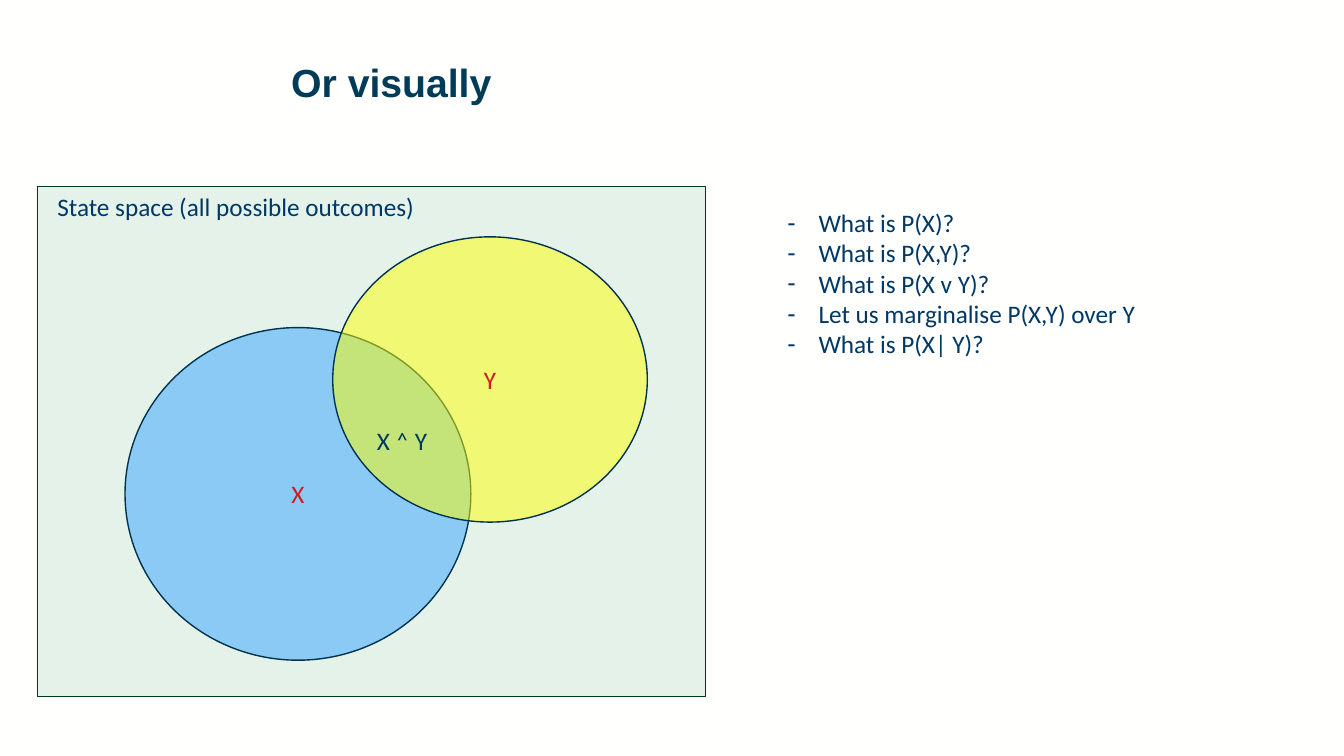
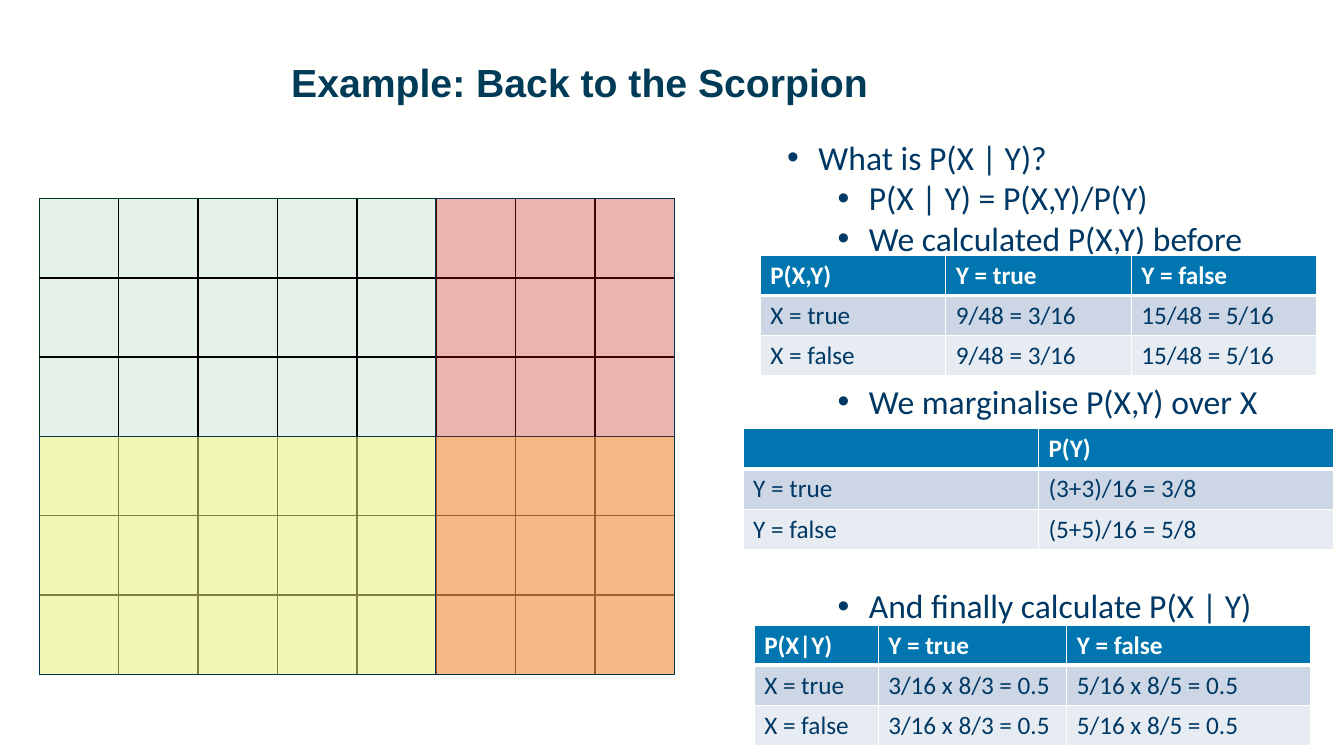
from dataclasses import dataclass

from lxml.etree import SubElement
from pptx import Presentation
from pptx.dml.color import RGBColor as Rgb
from pptx.enum.shapes import MSO_CONNECTOR as Connector, MSO_SHAPE as Preset
from pptx.enum.text import MSO_ANCHOR as Anchor, PP_ALIGN as Align
from pptx.oxml.ns import qn
from pptx.util import Pt

EMU_PER_PX = 9144
GRID_COLS, GRID_ROWS = 8, 6
ROW_HEIGHT = 40


@dataclass(frozen=True)
class Theme:
    paper: str = "FFFFFE"
    title: str = "003B58"
    ink: str = "003865"
    accent: str = "CF1C20"
    space: str = "00833C"
    space_edge: str = "00391A"
    set_edge: str = "00334D"
    set_x: str = "32A4FF"
    set_y: str = "FEFE00"
    lower_half: str = "FFFF7F"
    right_part: str = "FF0000"
    grid: str = "000000"
    header: str = "0075B0"
    bands: tuple = ("CCD6E4", "E7ECF2")
    title_font: str = "Arial"
    body_font: str = "Calibri"
    title_size: int = 28
    outline_size: int = 24
    body_size: int = 18


THEME = Theme()


def px(value):
    return round(value * EMU_PER_PX)


def box(left, top, width, height):
    return px(left), px(top), px(width), px(height)


def write(paragraph, text, color=THEME.ink, size=THEME.body_size, font=THEME.body_font, bold=False):
    run = paragraph.add_run()
    run.text = text
    run.font.name = font
    run.font.size = Pt(size)
    run.font.bold = bold
    run.font.color.rgb = Rgb.from_string(color)


def add_text_frame(slide, area, wrap=True):
    frame = slide.shapes.add_textbox(*box(*area)).text_frame
    frame.word_wrap = wrap
    return frame


def add_label(slide, area, text):
    write(add_text_frame(slide, area, wrap=False).paragraphs[0], text)


def add_titled_slide(deck, title):
    slide = deck.slides.add_slide(deck.slide_layouts[6])
    slide.background.fill.solid()
    slide.background.fill.fore_color.rgb = Rgb.from_string(THEME.paper)
    heading = add_text_frame(slide, (279, 58, 1007, 97)).paragraphs[0]
    heading.line_spacing = 0.9
    write(heading, title, THEME.title, THEME.title_size, THEME.title_font, bold=True)
    return slide


def add_bullets(slide, area, items, mark, size):
    frame = add_text_frame(slide, area)
    for index, (level, gap, text) in enumerate(items):
        paragraph = frame.add_paragraph() if index else frame.paragraphs[0]
        paragraph.level = level
        props = paragraph._p.get_or_add_pPr()
        props.set("marL", str(px(31 + 50 * level)))
        props.set("indent", str(px(-31)))
        SubElement(props, qn("a:buFont"), typeface="Arial")
        SubElement(props, qn("a:buChar"), char=mark)
        if gap:
            paragraph.space_before = Pt(gap)
        write(paragraph, text, size=size)


def add_region(slide, preset, area, fill, opacity, edge, label=None):
    region = slide.shapes.add_shape(preset, *box(*area))
    region.shadow.inherit = False
    region.fill.solid()
    region.fill.fore_color.rgb = Rgb.from_string(fill)
    tint = region.element.spPr.find(qn("a:solidFill")).find(qn("a:srgbClr"))
    SubElement(tint, qn("a:alpha"), val=str(opacity * 1000))
    region.line.color.rgb = Rgb.from_string(edge)
    region.line.width = Pt(1)
    if label:
        region.text_frame.vertical_anchor = Anchor.MIDDLE
        paragraph = region.text_frame.paragraphs[0]
        paragraph.alignment = Align.CENTER
        write(paragraph, label, THEME.accent)
    return region


def add_grid_line(slide, start, end):
    line = slide.shapes.add_connector(Connector.STRAIGHT, *map(px, start + end))
    line.line.color.rgb = Rgb.from_string(THEME.grid)
    line.line.width = Pt(1)
    SubElement(line.element.spPr, qn("a:effectLst"))
    return line


def add_outcome_grid(slide, left, top, width, height):
    right, bottom = left + width, top + height
    outcomes = add_region(slide, Preset.RECTANGLE, (left, top, width, height),
                          THEME.space, 10, THEME.space_edge)
    for row in range(1, GRID_ROWS):
        y = top + height * row / GRID_ROWS
        line = add_grid_line(slide, (left, y), (right, y))
        if row * 2 == GRID_ROWS:
            line.begin_connect(outcomes, 1)
            line.end_connect(outcomes, 3)
    for col in range(1, GRID_COLS):
        x = left + width * col / GRID_COLS
        line = add_grid_line(slide, (x, top), (x, bottom))
        if col * 2 == GRID_COLS:
            line.begin_connect(outcomes, 0)
            line.end_connect(outcomes, 2)
    middle = top + height // 2
    split = left + width * 5 // GRID_COLS
    add_region(slide, Preset.RECTANGLE, (left, middle, width, bottom - middle),
               THEME.lower_half, 50, THEME.set_edge)
    add_region(slide, Preset.RECTANGLE, (split, top, right - split, height),
               THEME.right_part, 25, THEME.set_edge)


def style_cell(cell, fill, bottom_width):
    props = cell._tc.get_or_add_tcPr()
    for side, width in (("lnL", 1), ("lnR", 1), ("lnT", 1), ("lnB", bottom_width)):
        border = SubElement(props, qn(f"a:{side}"), w=str(Pt(width)))
        paint = SubElement(border, qn("a:solidFill"))
        SubElement(paint, qn("a:srgbClr"), val=THEME.paper)
    cell.fill.solid()
    cell.fill.fore_color.rgb = Rgb.from_string(fill)


def add_probability_table(slide, left, top, widths, rows):
    area = box(left, top, sum(widths), ROW_HEIGHT * len(rows))
    table = slide.shapes.add_table(len(rows), len(widths), *area).table
    for column, width in zip(table.columns, widths):
        column.width = px(width)
    for row_index, texts in enumerate(rows):
        is_header = row_index == 0
        fill = THEME.header if is_header else THEME.bands[(row_index - 1) % 2]
        for col_index, text in enumerate(texts):
            cell = table.cell(row_index, col_index)
            style_cell(cell, fill, 3 if is_header or row_index == 0 else 1)
            if text:
                color = THEME.paper if is_header else THEME.ink
                write(cell.text_frame.paragraphs[0], text, color, bold=is_header)


def build_venn_slide(deck):
    slide = add_titled_slide(deck, "Or visually")
    add_region(slide, Preset.RECTANGLE, (37, 185, 663, 506), THEME.space, 10, THEME.space_edge)
    add_region(slide, Preset.OVAL, (124, 325, 343, 330), THEME.set_x, 50, THEME.set_edge, "X")
    add_region(slide, Preset.OVAL, (330, 235, 312, 283), THEME.set_y, 50, THEME.set_edge, "Y")
    add_label(slide, (364, 417, 71, 40), "X ˄ Y")
    add_label(slide, (47, 185, 378, 40), "State space (all possible outcomes)")
    questions = ("What is P(X)?", "What is P(X,Y)?", "What is P(X v Y)?",
                 "Let us marginalise P(X,Y) over Y", "What is P(X| Y)?")
    add_bullets(slide, (771, 201, 425, 162), [(0, 0, question) for question in questions],
                "-", THEME.body_size)


def build_scorpion_slide(deck):
    slide = add_titled_slide(deck, "Example: Back to the Scorpion")
    steps = (
        (0, 0, "What is P(X | Y)?"),
        (1, 0, "P(X | Y) = P(X,Y)/P(Y)"),
        (1, 0, "We calculated P(X,Y) before"),
        (1, 88, "We marginalise P(X,Y) over X"),
        (1, 117, "And finally calculate P(X | Y)"),
    )
    add_bullets(slide, (771, 131, 497, 495), steps, "•", THEME.outline_size)
    add_outcome_grid(slide, 39, 197, 630, 472)
    add_probability_table(slide, 754, 253, (184, 184, 184), (
        ("P(X,Y)", "Y = true", "Y = false"),
        ("X = true", "9/48 = 3/16", "15/48 = 5/16"),
        ("X = false", "9/48 = 3/16", "15/48 = 5/16"),
    ))
    add_probability_table(slide, 748, 620, (123, 187, 242), (
        ("P(X|Y)", "Y = true", "Y = false"),
        ("X = true", "3/16 x 8/3 = 0.5", "5/16 x 8/5 = 0.5"),
        ("X = false", "3/16 x 8/3 = 0.5", "5/16 x 8/5 = 0.5"),
    ))
    add_probability_table(slide, 737, 425, (293, 293), (
        ("", "P(Y)"),
        ("Y = true", "(3+3)/16 = 3/8"),
        ("Y = false", "(5+5)/16 = 5/8"),
    ))


def main():
    deck = Presentation()
    deck.slide_width = px(1333)
    deck.slide_height = px(750)
    build_venn_slide(deck)
    build_scorpion_slide(deck)
    deck.save("out.pptx")


if __name__ == "__main__":
    main()
